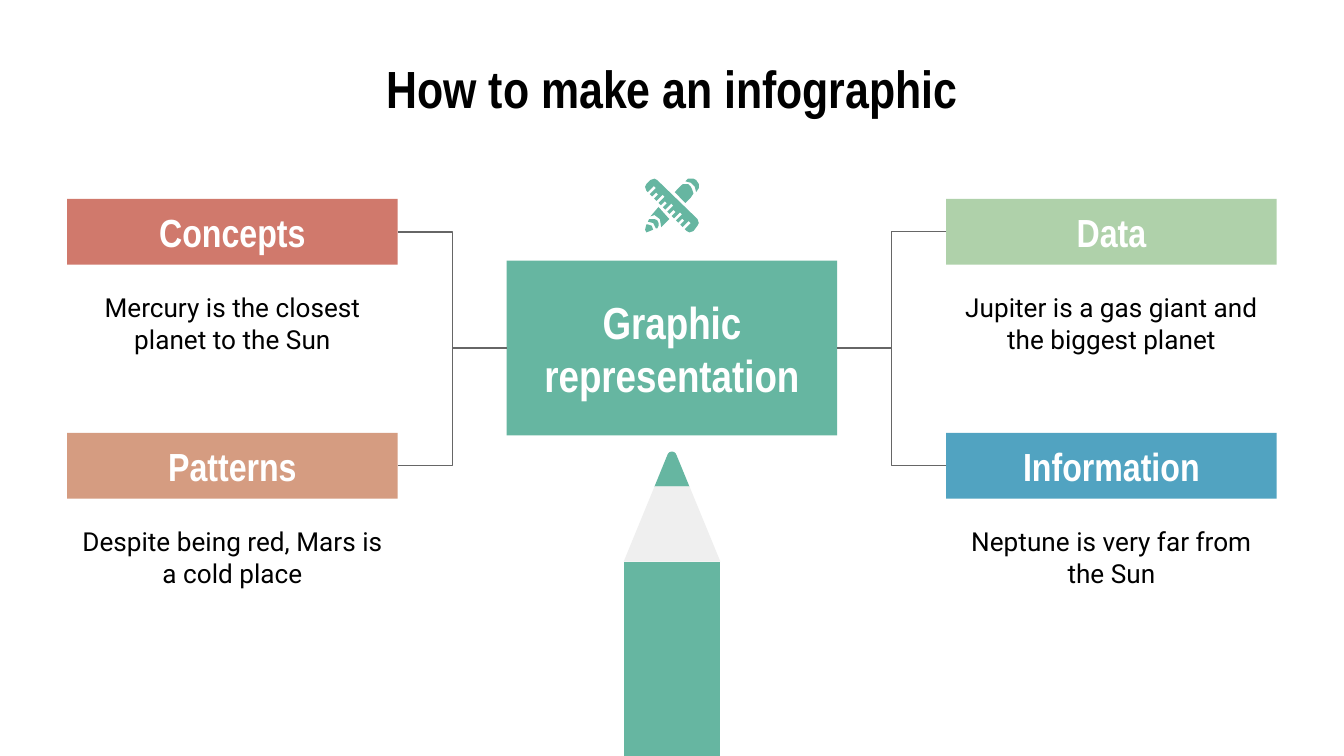
import math
import pptx
import pptx.dml.color
import pptx.enum.shapes
import pptx.enum.text
import pptx.oxml
import pptx.util

inch = pptx.util.Inches
kinds = pptx.enum.shapes.MSO_SHAPE
GREEN, GREY, WHITE, BLACK = "66B6A1", "EFEFEF", "FFFFFF", "000000"
HEAD, BODY = "Arial Narrow", "Roboto"


def paint(fill, tone):
    """Make a shape, line or font fill solid in one hex colour."""
    fill.solid()
    fill.fore_color.rgb = pptx.dml.color.RGBColor.from_string(tone)


def write(text, x, y, wide, high, size=14, face=BODY, tone=BLACK, bold=False, back=None):
    """Place centred text, in a filled box when back is given."""
    spot = [inch(n) for n in (x, y, wide, high)]
    if back:
        box = slide.shapes.add_shape(kinds.RECTANGLE, *spot)
        box.shadow.inherit = False
        paint(box.fill, back)
        box.line.fill.background()
    else:
        box = slide.shapes.add_textbox(*spot)
    frame = box.text_frame
    frame.word_wrap = True
    frame.vertical_anchor = pptx.enum.text.MSO_ANCHOR.MIDDLE
    frame.margin_left = frame.margin_right = inch(0.1)
    frame.margin_top = frame.margin_bottom = inch(0.1)
    line = frame.paragraphs[0]
    line.alignment = pptx.enum.text.PP_ALIGN.CENTER
    run = line.add_run()
    run.text = text
    run.font.size = pptx.util.Pt(size)
    run.font.name = face
    run.font.bold = bold
    paint(run.font.fill, tone)


deck = pptx.Presentation()
deck.slide_width, deck.slide_height = inch(10), inch(5.625)
slide = deck.slides.add_slide(deck.slide_layouts[6])

# Grid: three columns, two rows
edge, wide, step = 0.5, 2.46, 3.27
cols = [edge + step * n for n in range(3)]
rows = [1.48, 3.22]
bar = 0.49
mid = 5
hub = 2.59

write("How to make an infographic", edge, 0.45, 9, 0.41, size=28, face=HEAD, bold=True)
write("Graphic representation", cols[1], hub - 0.65, wide, 1.3,
      size=24, face=HEAD, tone=WHITE, bold=True, back=GREEN)

# Elbow lines from the hub to each topic
for y in rows:
    level = y + bar / 2
    for start, end in (((cols[0] + wide, level), (cols[1], hub)),
                       ((cols[1] + wide, hub), (cols[2], level))):
        link = slide.shapes.add_connector(
            pptx.enum.shapes.MSO_CONNECTOR.ELBOW, *[inch(n) for n in start + end])
        link.line.width = pptx.util.Pt(0.75)
        paint(link.line.fill, "666666")
        link._element.spPr.append(pptx.oxml.parse_xml(
            '<a:effectLst xmlns:a="http://schemas.openxmlformats.org/drawingml/2006/main"/>'))

topics = [
    (0, 0, "Concepts", "D0796C", "Mercury is the closest planet to the Sun"),
    (0, 1, "Patterns", "D59C81", "Despite being red, Mars is a cold place"),
    (2, 0, "Data", "AFD1AA", "Jupiter is a gas giant and the biggest planet"),
    (2, 1, "Information", "51A3C1", "Neptune is very far from the Sun"),
]
for col, row, name, tone, note in topics:
    x, y = cols[col], rows[row]
    write(name, x, y, wide, bar, size=21, face=HEAD, tone=WHITE, bold=True, back=tone)
    write(note, x, y + 0.66, wide, 0.53)

# Large pencil: rounded tip, wood and body
half, neck = 0.36, 0.13
tip = [(mid + 0.035 * math.cos(math.radians(a)), 3.395 - 0.035 * math.sin(math.radians(a)))
       for a in range(20, 161, 20)]
wood = [(mid - neck, 3.62), (mid - half, 4.18), (mid + half, 4.18), (mid + neck, 3.62)]
body = [(mid - half, 4.18), (mid - half, 6.39), (mid + half, 6.39), (mid + half, 4.18)]

# Small ruler: nine notches, long and short by turns, along its lower edge
ruler = [(4.89, 1.34), (4.87, 1.33), (4.84, 1.34), (4.81, 1.37), (4.8, 1.39), (4.81, 1.42)]
for n in range(9):
    x, y = 4.82 + 0.0325 * n, 1.43 + 0.0325 * n
    deep = 0.03 if n % 2 else 0.045
    ruler += [(x, y), (x + deep, y - deep),
              (x + deep + 0.015, y - deep + 0.015), (x + 0.015, y + 0.015)]
ruler += [(5.11, 1.72), (5.13, 1.73), (5.16, 1.72), (5.19, 1.68), (5.2, 1.66), (5.19, 1.63)]

# Small pencil crossing behind it, from top right to bottom left
upper = [(5.1, 1.37), (5.08, 1.37), (5.06, 1.39), (5.02, 1.43), (5.1, 1.51), (5.14, 1.47),
         (5.16, 1.44), (5.15, 1.41), (5.14, 1.39), (5.12, 1.37)]
cap = [(5.14, 1.33), (5.12, 1.33), (5.1, 1.35), (5.14, 1.36), (5.17, 1.39), (5.18, 1.43),
       (5.2, 1.4), (5.2, 1.37), (5.18, 1.34), (5.16, 1.33)]
band = [(4.85, 1.63), (4.83, 1.63), (4.82, 1.65), (4.86, 1.66), (4.88, 1.7), (4.89, 1.7),
        (4.9, 1.68), (4.9, 1.66), (4.89, 1.64), (4.87, 1.63)]
lower = [(4.9, 1.54), (4.84, 1.61), (4.87, 1.6), (4.91, 1.63), (4.92, 1.69), (4.98, 1.63)]
point = [(4.82, 1.67), (4.81, 1.67), (4.8, 1.71), (4.81, 1.73), (4.86, 1.71), (4.85, 1.68)]

parts = [(tip + [(mid - neck, 3.62), (mid + neck, 3.62)], GREEN), (wood, GREY), (body, GREEN)]
parts += [(dots, GREEN) for dots in (upper, ruler, cap, band, lower, point)]
for dots, tone in parts:
    first, *rest = [(inch(x), inch(y)) for x, y in dots]
    pen = slide.shapes.build_freeform(*first)
    pen.add_line_segments(rest, close=True)
    form = pen.convert_to_shape()
    form.shadow.inherit = False
    paint(form.fill, tone)
    form.line.fill.background()

deck.save("out.pptx")
